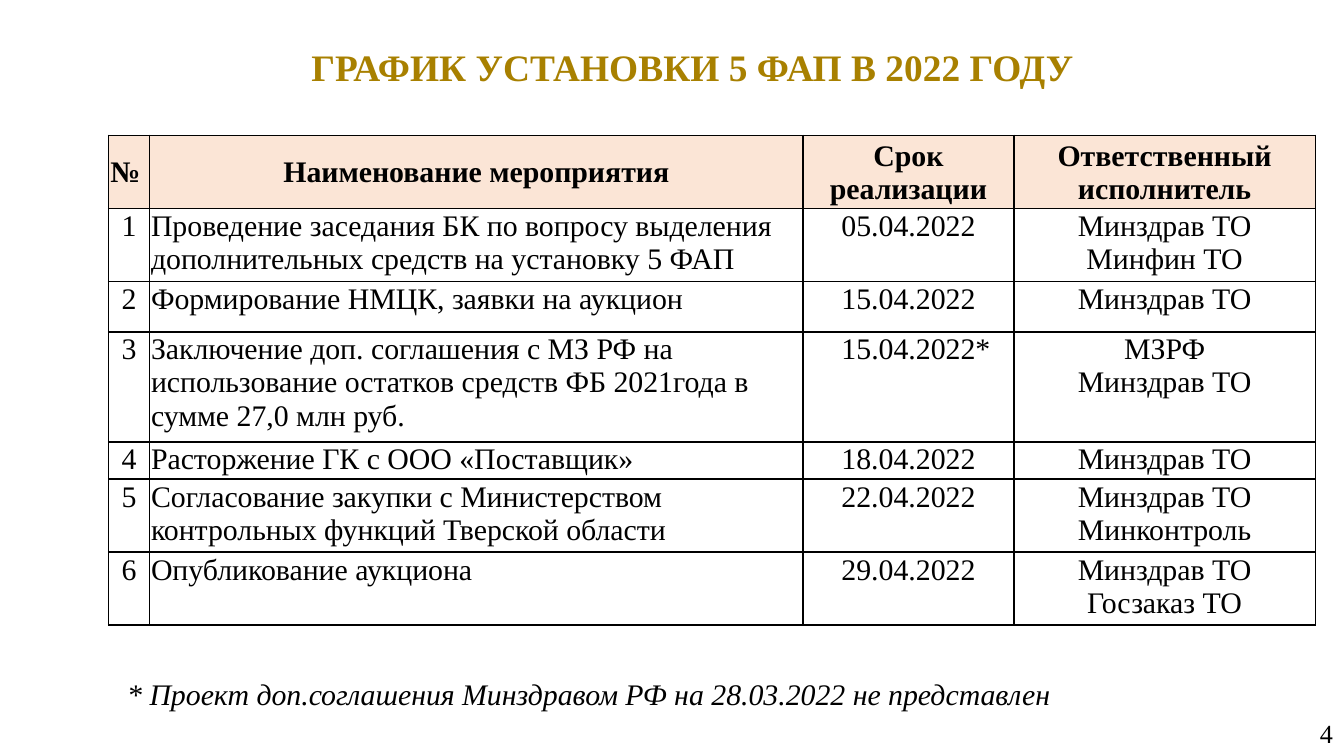
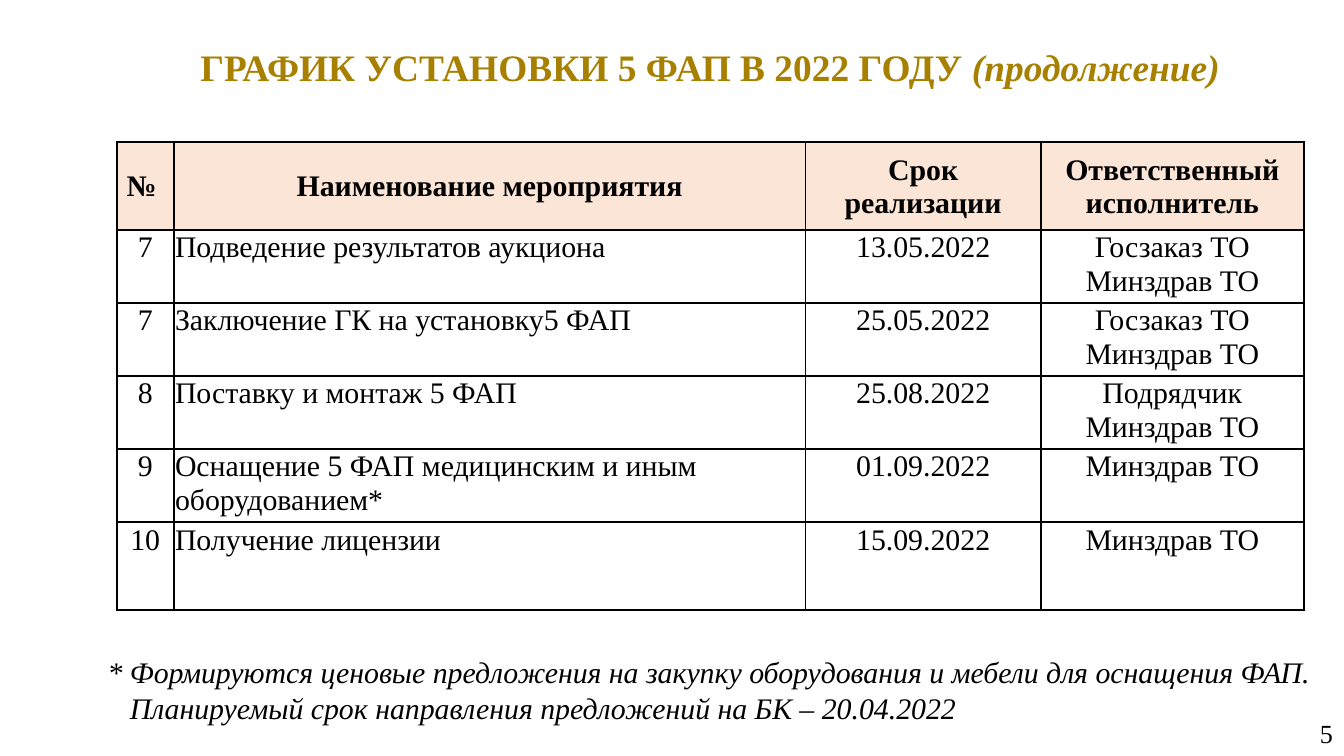
from lxml import etree
from pptx import Presentation
from pptx.dml.color import RGBColor
from pptx.enum.text import MSO_ANCHOR, MSO_AUTO_SIZE, PP_ALIGN
from pptx.oxml.ns import qn
from pptx.util import Pt

BLACK = RGBColor(0x00, 0x00, 0x00)
WHITE = RGBColor(0xFF, 0xFF, 0xFF)
GOLD = RGBColor(0xA8, 0x80, 0x00)
PEACH = RGBColor(0xFB, 0xE5, 0xD6)

FONT = "Times New Roman"
TITLE_FONT = {"name": FONT, "size": Pt(20), "bold": True, "italic": False}
HEADER_FONT = {"name": FONT, "size": Pt(16), "bold": True}
CELL_FONT = {"name": FONT, "size": Pt(16), "bold": False}
NOTE_FONT = {"name": FONT, "size": Pt(16), "italic": True}
NUMBER_FONT = {"name": FONT, "size": Pt(14)}

TITLE_FRAME = {
    "margin_left": Pt(5), "margin_right": Pt(5),
    "margin_top": Pt(3), "margin_bottom": Pt(3),
    "vertical_anchor": MSO_ANCHOR.MIDDLE,
    "auto_size": MSO_AUTO_SIZE.NONE, "word_wrap": True,
}
CELL_MARGINS = {
    "margin_left": Pt(0.72), "margin_right": Pt(0.72),
    "margin_top": Pt(0.72), "margin_bottom": 0,
}

TITLE = "ГРАФИК УСТАНОВКИ 5 ФАП В 2022 ГОДУ"
HEADER = ("№ ", "Наименование мероприятия", "Срок реализации",
          "Ответственный исполнитель")
NAME_COLUMN = 1
FOOTNOTE_INDENT = Pt(8)

FIRST_STEPS = [
    ("1", "Проведение заседания БК по вопросу выделения дополнительных "
          "средств на установку 5 ФАП", "05.04.2022", "Минздрав ТО\nМинфин ТО"),
    ("2", "Формирование НМЦК, заявки на аукцион", "15.04.2022", "Минздрав ТО"),
    ("3", "Заключение доп. соглашения с МЗ РФ на использование остатков "
          "средств ФБ 2021года в сумме 27,0 млн руб.", "15.04.2022*",
     "МЗРФ\nМинздрав ТО"),
    ("4", "Расторжение ГК с ООО «Поставщик»", "18.04.2022", "Минздрав ТО"),
    ("5", "Согласование закупки с Министерством контрольных функций "
          "Тверской области", "22.04.2022", "Минздрав ТО\nМинконтроль"),
    ("6", "Опубликование аукциона", "29.04.2022", "Минздрав ТО\nГосзаказ ТО"),
]
NEXT_STEPS = [
    ("7", "Подведение результатов аукциона", "13.05.2022",
     "Госзаказ ТО\nМинздрав ТО"),
    ("7", "Заключение ГК на установку5 ФАП", "25.05.2022",
     "Госзаказ ТО\nМинздрав ТО"),
    ("8", "Поставку и монтаж 5 ФАП", "25.08.2022", "Подрядчик\nМинздрав ТО"),
    ("9", "Оснащение 5 ФАП медицинским и иным оборудованием*", "01.09.2022",
     "Минздрав ТО"),
    ("10", "Получение лицензии", "15.09.2022", "Минздрав ТО"),
]


def set_format(target, values):
    for name, value in values.items():
        setattr(target, name, value)


def style_font(font, values, color=BLACK):
    set_format(font, values)
    font.color.rgb = color


def add_title(page, left, suffix=""):
    """Fill the title; the suffix is set in italics."""
    title = page.shapes.title
    set_format(title, {"left": Pt(left), "top": Pt(15),
                       "width": Pt(660), "height": Pt(41)})
    set_format(title.text_frame, TITLE_FRAME)
    para = title.text_frame.paragraphs[0]
    para.alignment = PP_ALIGN.CENTER
    for text, italic in ((TITLE, False), (suffix, True)):
        if text:
            span = para.add_run()
            span.text = text
            style_font(span.font, {**TITLE_FONT, "italic": italic}, GOLD)


def add_text(page, left, top, width, height, text, font, align=PP_ALIGN.LEFT,
             wrap=False, next_indent=0):
    """Add a text box; next_indent moves every paragraph after the first."""
    box = page.shapes.add_textbox(Pt(left), Pt(top), Pt(width), Pt(height))
    box.text_frame.word_wrap = wrap
    box.text_frame.text = text
    for index, para in enumerate(box.text_frame.paragraphs):
        para.alignment = align
        if index and next_indent:
            indent_paragraph(para, Pt(next_indent))
        style_font(para.font, font)
        for span in para.runs:
            style_font(span.font, font)


def indent_paragraph(para, length):
    para._p.get_or_add_pPr().set("marL", str(length))


def add_borders(cell):
    properties = cell._tc.get_or_add_tcPr()
    for side in ("a:lnL", "a:lnR", "a:lnT", "a:lnB"):
        line = etree.SubElement(properties, qn(side), w=str(Pt(1)))
        fill = etree.SubElement(line, qn("a:solidFill"))
        etree.SubElement(fill, qn("a:srgbClr"), val=str(BLACK))


def fill_cell(cell, text, column, is_header):
    set_format(cell, CELL_MARGINS)
    cell.vertical_anchor = MSO_ANCHOR.MIDDLE if is_header else MSO_ANCHOR.TOP
    add_borders(cell)
    cell.fill.solid()
    cell.fill.fore_color.rgb = PEACH if is_header else WHITE
    cell.text = text
    is_name = column == NAME_COLUMN and not is_header
    for para in cell.text_frame.paragraphs:
        para.alignment = PP_ALIGN.LEFT if is_name else PP_ALIGN.CENTER
        if text.endswith("*") and not is_name:
            indent_paragraph(para, FOOTNOTE_INDENT)
        for span in para.runs:
            style_font(span.font, HEADER_FONT if is_header else CELL_FONT)


def add_schedule(page, left, top, widths, heights, steps):
    frame = page.shapes.add_table(
        len(heights), len(widths), Pt(left), Pt(top),
        Pt(sum(widths)), Pt(sum(heights)))
    table = frame.table
    table.first_row = False
    table.horz_banding = False
    for column, width in zip(table.columns, widths):
        column.width = Pt(width)
    for row, height in zip(table.rows, heights):
        row.height = Pt(height)
    for row, texts in enumerate([HEADER, *steps]):
        for column, text in enumerate(texts):
            fill_cell(table.cell(row, column), text, column, row == 0)


def add_page(deck, number):
    page = deck.slides.add_slide(deck.slide_layouts[5])
    add_text(page, 700, 381, 21.6, 24, str(number), NUMBER_FONT, wrap=True)
    return page


def main():
    deck = Presentation()
    deck.slide_width, deck.slide_height = Pt(720), Pt(405)

    page = add_page(deck, 4)
    add_schedule(page, 58.2, 72.5, (22, 350, 113, 161.5),
                 (39, 39, 27, 59, 20, 39, 39), FIRST_STEPS)
    add_title(page, 41)
    add_text(page, 59, 358.5, 517, 27,
             "* Проект доп.соглашения Минздравом РФ на 28.03.2022 "
             "не представлен ", NOTE_FONT, PP_ALIGN.CENTER)

    page = add_page(deck, 5)
    add_schedule(page, 62.6, 76.2, (30.5, 338.5, 126, 141),
                 (47, 39, 39, 39, 39, 47), NEXT_STEPS)
    add_title(page, 50.5, " (продолжение)")
    add_text(page, 50.5, 346.5, 682.5, 46,
             "* Формируются ценовые предложения на закупку оборудования "
             "и мебели для оснащения ФАП.\n"
             "Планируемый срок направления предложений на БК – 20.04.2022",
             NOTE_FONT, next_indent=12)

    deck.save("out.pptx")


if __name__ == "__main__":
    main()
